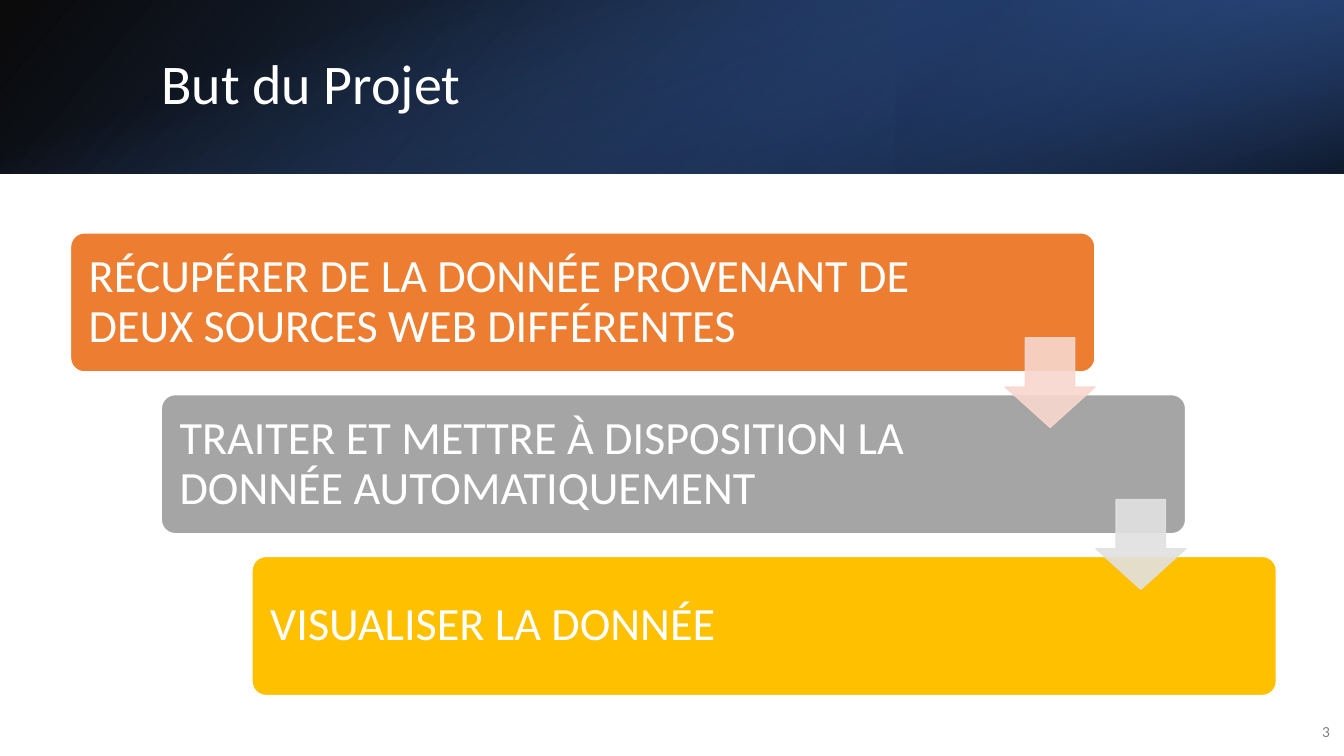
from lxml.etree import SubElement
from pptx import Presentation
from pptx.dml.color import RGBColor
from pptx.enum.shapes import MSO_SHAPE
from pptx.enum.text import MSO_ANCHOR, MSO_AUTO_SIZE, PP_ALIGN
from pptx.oxml.ns import qn
from pptx.util import Inches, Pt

WHITE = RGBColor(0xFF, 0xFF, 0xFF)
GREY = RGBColor(0x80, 0x80, 0x80)
BLACK = RGBColor(0, 0, 0)
NAVY = RGBColor(0x20, 0x38, 0x64)
DENIM = RGBColor(0x2F, 0x55, 0x97)
BLUE = RGBColor(0x44, 0x72, 0xC4)
ORANGE = RGBColor(0xED, 0x7D, 0x31)
SILVER = RGBColor(0xA5, 0xA5, 0xA5)
GOLD = RGBColor(0xFF, 0xC0, 0x00)
PEACH = RGBColor(0xF8, 0xD7, 0xCE)
PALE = RGBColor(0xE1, 0xE1, 0xE1)

TITLE = "But du Projet"
NUMBER = "3"
# wording, bar colour, text width, colour of the arrow to the next step
STEPS = [
    ("RÉCUPÉRER DE LA DONNÉE PROVENANT DE DEUX SOURCES WEB DIFFÉRENTES",
     ORANGE, 8.67, PEACH),
    ("TRAITER ET METTRE À DISPOSITION LA DONNÉE AUTOMATIQUEMENT",
     SILVER, 8.29, PALE),
    ("VISUALISER LA DONNÉE", GOLD, 8.29, None),
]

WIDE, HIGH = 13.33, 7.5
BAND = 1.72
# box, rotation, mirrored, angle, stops of (place, colour, opacity)
LAYERS = [
    ((0, 0, WIDE, BAND), 0, True, 140, [(0, BLACK, 96), (100, DENIM, 100)]),
    ((WIDE * 2 / 3, 0, WIDE / 3, BAND), 180, True, 320,
     [(19, NAVY, 68), (100, BLUE, 79)]),
    (((WIDE - BAND) / 2, (BAND - WIDE) / 2, BAND, WIDE), 90, False, 340,
     [(23, BLUE, 0), (99, BLACK, 74)]),
]
LEFT, TOP = 0.7, 2.31
STEP_X, STEP_Y = 0.9, 1.605
BAR_W, BAR_H = 10.16, 1.38
ARROW = 0.89
INSET = 0.04


def place(box):
    return [Inches(v) for v in box]


def write(shape, text, size, color=WHITE, align=PP_ALIGN.LEFT, pad=None,
          spacing=None):
    frame = shape.text_frame
    frame.word_wrap = True
    frame.auto_size = MSO_AUTO_SIZE.NONE
    frame.vertical_anchor = MSO_ANCHOR.MIDDLE
    if pad:
        frame.margin_left = frame.margin_right = Inches(pad)
        frame.margin_top = frame.margin_bottom = Inches(pad)
    para = frame.paragraphs[0]
    para.alignment = align
    para.line_spacing = spacing
    run = para.add_run()
    run.text = text
    run.font.name = "Calibri"
    run.font.size = Pt(size)
    run.font.color.rgb = color


def fade(node, alpha):
    """Set the opacity, in percent, of a colour element."""
    SubElement(node, qn("a:alpha")).set("val", str(alpha * 1000))


def draw(slide, kind, box, color=None, edge=None, adjust=()):
    shape = slide.shapes.add_shape(kind, *place(box))
    shape.shadow.inherit = False
    if color is not None:
        shape.fill.solid()
        shape.fill.fore_color.rgb = color
    if edge is None:
        shape.line.fill.background()
    else:
        shape.line.color.rgb = edge
        shape.line.width = Pt(1)
    for i, value in enumerate(adjust):
        shape.adjustments[i] = value
    return shape


def blend(shape, angle, stops):
    """Fill with a linear gradient whose stops may be transparent."""
    shape.fill.gradient()
    grad = shape.element.spPr.find(qn("a:gradFill"))
    for child in list(grad):
        grad.remove(child)
    grad.set("rotWithShape", "1")
    group = SubElement(grad, qn("a:gsLst"))
    for pos, color, alpha in stops:
        stop = SubElement(group, qn("a:gs"), pos=str(pos * 1000))
        fade(SubElement(stop, qn("a:srgbClr"), val=str(color)), alpha)
    SubElement(grad, qn("a:lin"), ang=str(angle * 60000), scaled="0")


def add_band(slide):
    for box, turn, mirror, angle, stops in LAYERS:
        layer = draw(slide, MSO_SHAPE.RECTANGLE, box)
        layer.rotation = turn
        if mirror:
            layer.element.spPr.find(qn("a:xfrm")).set("flipH", "1")
        blend(layer, angle, stops)


def add_title(slide):
    title = slide.shapes.title
    title.left, title.top, title.width, title.height = place(
        (1.5, 0.38, 10.98, 0.96))
    write(title, TITLE, 40, spacing=0.9)
    tree = slide.shapes.element
    tree.remove(title.element)
    tree.append(title.element)


def add_steps(slide):
    for i, (text, color, width, _) in enumerate(STEPS):
        x, y = LEFT + i * STEP_X, TOP + i * STEP_Y
        draw(slide, MSO_SHAPE.ROUNDED_RECTANGLE, (x, y, BAR_W, BAR_H),
             color, WHITE, [0.1])
        label = slide.shapes.add_textbox(*place(
            (x + INSET, y + INSET, width, BAR_H - 2 * INSET)))
        write(label, text, 33, pad=0.14, spacing=0.9)
    for i, (_, _, _, color) in enumerate(STEPS[:-1]):
        x = LEFT + i * STEP_X + BAR_W - ARROW
        y = TOP + i * STEP_Y + 1.04
        arrow = draw(slide, MSO_SHAPE.DOWN_ARROW, (x, y, ARROW, ARROW),
                     color, color, [0.55, 0.45])
        for node in arrow.element.spPr.iter(qn("a:srgbClr")):
            fade(node, 90)


def main():
    deck = Presentation()
    deck.slide_width, deck.slide_height = Inches(WIDE), Inches(HIGH)
    slide = deck.slides.add_slide(deck.slide_layouts[5])
    add_band(slide)
    add_title(slide)
    number = slide.shapes.add_textbox(*place((12.8, 7.06, 0.49, 0.4)))
    write(number, NUMBER, 11, GREY, PP_ALIGN.RIGHT)
    add_steps(slide)
    deck.save("out.pptx")


if __name__ == "__main__":
    main()
